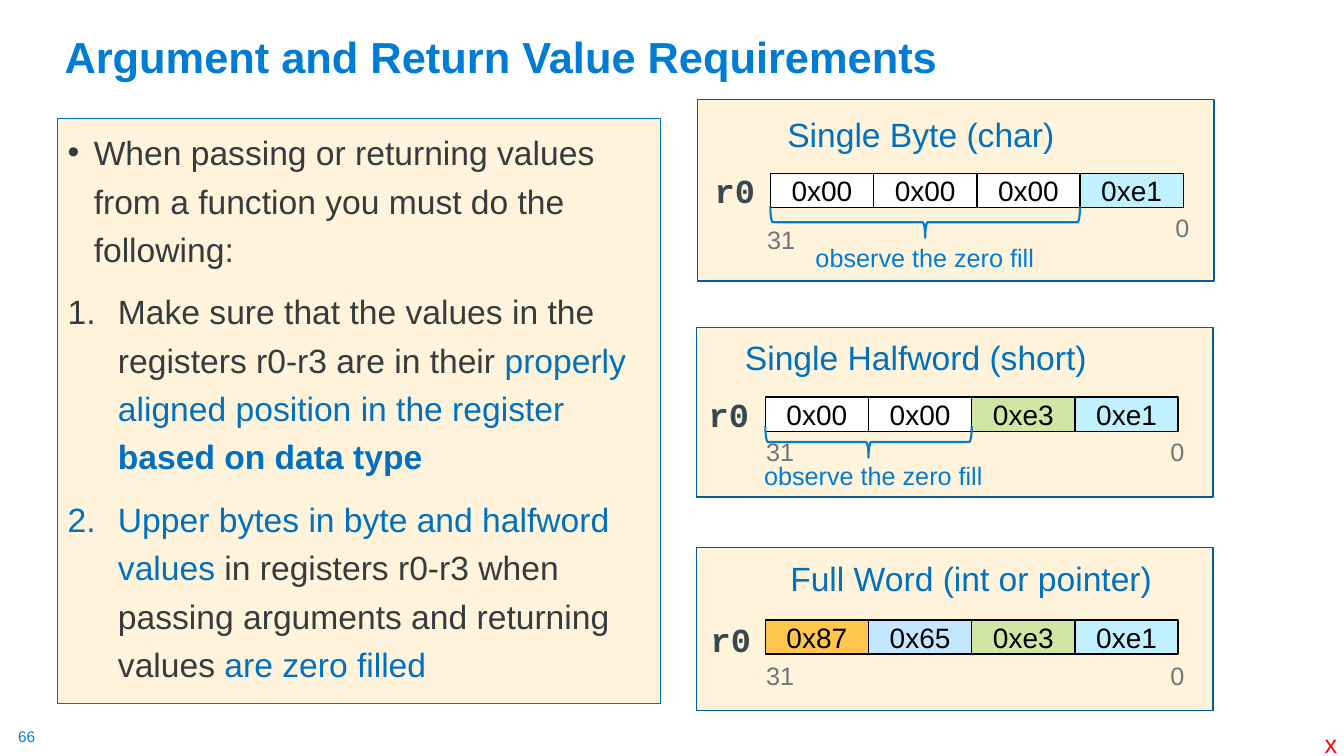
import pptx
import pptx.util
import pptx.dml.color
import pptx.enum.shapes
import pptx.enum.text
import pptx.oxml.ns
import lxml.etree

COLORS = {
    "cream": "FFF4DB", "blue": "0070C0", "accent": "007CD5", "navy": "005C9E",
    "ink": "363B3E", "slate": "384851", "gray": "6B767D", "black": "000000",
    "white": "FFFFFF", "sky": "C1F0FF", "pale": "C4E6FF", "green": "92D050",
    "amber": "FEC64D", "red": "FF0000",
}
RECTANGLE = pptx.enum.shapes.MSO_SHAPE.RECTANGLE
BRACE = pptx.enum.shapes.MSO_SHAPE.RIGHT_BRACE
MIDDLE = pptx.enum.text.MSO_ANCHOR.MIDDLE
LEFT = pptx.enum.text.PP_ALIGN.LEFT
CENTER = pptx.enum.text.PP_ALIGN.CENTER
qn = pptx.oxml.ns.qn

presentation = pptx.Presentation()
presentation.slide_width = pptx.util.Inches(13.33)
presentation.slide_height = pptx.util.Inches(7.5)
UNIT = presentation.slide_height / 75


def grid(*lengths):
    return [round(length * UNIT) for length in lengths]


def write(paragraph, text, size, color, bold=False, font="Arial"):
    run = paragraph.add_run()
    run.text = text
    run.font.size = pptx.util.Pt(size)
    run.font.name = font
    run.font.bold = bold
    run.font.color.rgb = pptx.dml.color.RGBColor.from_string(COLORS[color])


slide = presentation.slides.add_slide(presentation.slide_layouts[1])

title = slide.shapes.title
title.left, title.top, title.width, title.height = grid(5.4, 0.9, 115, 7.8)
title.text_frame.auto_size = pptx.enum.text.MSO_AUTO_SIZE.NONE
title.text_frame.vertical_anchor = pptx.enum.text.MSO_ANCHOR.BOTTOM
heading = title.text_frame.paragraphs[0]
heading.alignment = LEFT
heading.line_spacing = 0.9
write(heading, "Argument and Return Value Requirements", 31, "accent", True)

body = slide.placeholders[1]
body.left, body.top, body.width, body.height = grid(5.7, 11.8, 59.8, 58)
body.fill.solid()
body.fill.fore_color.rgb = pptx.dml.color.RGBColor.from_string(COLORS["cream"])
body.line.color.rgb = pptx.dml.color.RGBColor.from_string(COLORS["blue"])
body.line.width = pptx.util.Pt(0.75)
body.text_frame.auto_size = pptx.enum.text.MSO_AUTO_SIZE.NONE
requirements = [
    ("buChar", {"char": "•"}, 2.6, [
        ("When passing or returning values from a function you must do the following:", "ink", False)]),
    ("buAutoNum", {"type": "arabicPeriod"}, 5, [
        ("Make sure that the values in the registers r0-r3 are in their ", "ink", False),
        ("properly aligned position in the register ", "blue", False),
        ("based on data type", "blue", True)]),
    ("buAutoNum", {"type": "arabicPeriod"}, 5, [
        ("Upper bytes in byte and halfword values", "blue", False),
        (" in registers r0-r3 when passing arguments and returning values ", "ink", False),
        ("are zero filled", "blue", False)]),
]
for number, (bullet, attributes, indent, runs) in enumerate(requirements):
    frame = body.text_frame
    paragraph = frame.add_paragraph() if number else frame.paragraphs[0]
    paragraph.line_spacing = 1.2
    paragraph.space_before = pptx.util.Pt(10)
    properties = paragraph._p.get_or_add_pPr()
    properties.set("marL", str(round(indent * UNIT)))
    properties.set("indent", str(round(-indent * UNIT)))
    font = lxml.etree.SubElement(properties, qn("a:buFont"))
    font.set("typeface", "Arial")
    lxml.etree.SubElement(properties, qn("a:" + bullet), attributes)
    for text, color, bold in runs:
        write(paragraph, text, 24, color, bold)

CELL_WIDTH, CELL_HEIGHT = 10.24, 3.4
low_bytes = [("0xe3", "green"), ("0xe1", "sky")]
zero = ("0x00", "white")
panels = [
    {"box": (69.2, 9.9, 51.2, 18), "cells": (76.4, 17.2),
     "bytes": [zero, zero, zero, ("0xe1", "sky")],
     "labels": [("Single Byte (char)", 77.1, 10.8, 28.8), ("r0", 69.9, 16.4, 6.1),
                ("31", 75.1, 21.8, 4.8), ("0", 115.6, 20.6, 3.4),
                ("observe the zero fill", 79.9, 23.6, 24.7)],
     "brace": (3, 20.5)},
    {"box": (69.1, 32.5, 51.2, 16.8), "cells": (75.9, 39.4),
     "bytes": [zero, zero] + low_bytes,
     "labels": [("Single Halfword (short)", 72.9, 32.9, 36.3), ("r0", 69.3, 38.6, 6.1),
                ("31", 75, 42.8, 4.8), ("0", 115.1, 42.8, 3.4),
                ("observe the zero fill", 74.8, 45.2, 24.7)],
     "brace": (2, 42.3)},
    {"box": (69.1, 54.3, 51.2, 16.2), "cells": (75.9, 61.5),
     "bytes": [("0x87", "amber"), ("0x65", "pale")] + low_bytes,
     "labels": [("Full Word (int or pointer)", 77.4, 54.9, 38.3), ("r0", 69.5, 60.9, 6.1),
                ("31", 75, 65, 4.8), ("0", 115.1, 65, 3.4)],
     "brace": None},
]
label_styles = {"r0": (24, "slate", True, "Courier New"), "31": (18, "gray"), "0": (18, "gray"),
                "observe the zero fill": (18, "accent")}
labels = [(slide.shapes, "66", (1.8, 72.1, 1.9, 1.9), (11, "accent"), 0),
          (slide.shapes, "x", (130.4, 71.8, 3.3, 4), (18, "red"), 1)]

for panel in panels:
    shapes = slide.shapes.add_group_shape().shapes
    left, top = panel["cells"]
    rectangles = [(panel["box"], "cream", "navy", "")]
    for index, (value, fill) in enumerate(panel["bytes"]):
        cell = (left + index * CELL_WIDTH, top, CELL_WIDTH, CELL_HEIGHT)
        rectangles.append((cell, fill, "black", value))
    for bounds, fill, line, value in rectangles:
        shape = shapes.add_shape(RECTANGLE, *grid(*bounds))
        shape.shadow.inherit = False
        shape.fill.solid()
        shape.fill.fore_color.rgb = pptx.dml.color.RGBColor.from_string(COLORS[fill])
        shape.line.color.rgb = pptx.dml.color.RGBColor.from_string(COLORS[line])
        shape.line.width = pptx.util.Pt(1)
        if fill == "green":
            tint = shape._element.spPr.find(qn("a:solidFill")).find(qn("a:srgbClr"))
            lxml.etree.SubElement(tint, qn("a:alpha"), val="40000")
        if value:
            shape.text_frame.vertical_anchor = MIDDLE
            shape.text_frame.paragraphs[0].alignment = CENTER
            write(shape.text_frame.paragraphs[0], value, 20, "black")
    if panel["brace"]:
        count, brace_top = panel["brace"]
        span, depth = count * CELL_WIDTH, 3.1
        shift = (span - depth) / 2
        brace = shapes.add_shape(BRACE, *grid(left + shift, brace_top - shift, depth, span))
        brace.rotation = 90
        brace.shadow.inherit = False
        brace.fill.background()
        brace.line.color.rgb = pptx.dml.color.RGBColor.from_string(COLORS["accent"])
        brace.line.width = pptx.util.Pt(1.5)
    for text, column, row, columns in panel["labels"]:
        style = label_styles.get(text, (24, "blue"))
        rows = 5 if style[0] == 24 else 4
        labels.append((shapes, text, (column, row, columns, rows), style, 1))

for shapes, text, bounds, style, inset in labels:
    box = shapes.add_textbox(*grid(*bounds))
    frame = box.text_frame
    frame.word_wrap = False
    frame.auto_size = pptx.enum.text.MSO_AUTO_SIZE.SHAPE_TO_FIT_TEXT
    frame.margin_left = frame.margin_right = round(inset * UNIT)
    frame.margin_top = frame.margin_bottom = round(inset * UNIT / 2)
    write(frame.paragraphs[0], text, *style)

presentation.save("out.pptx")
